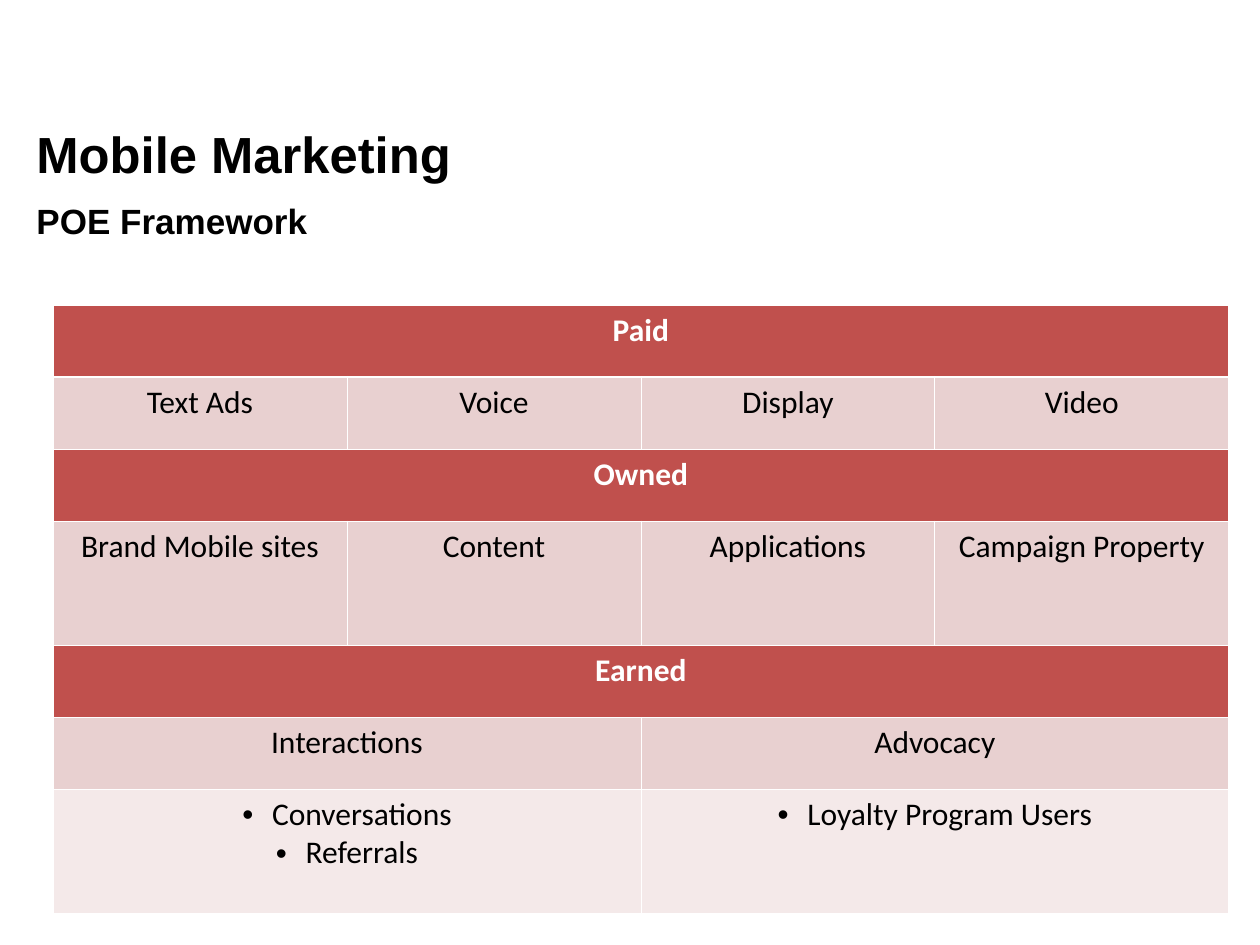
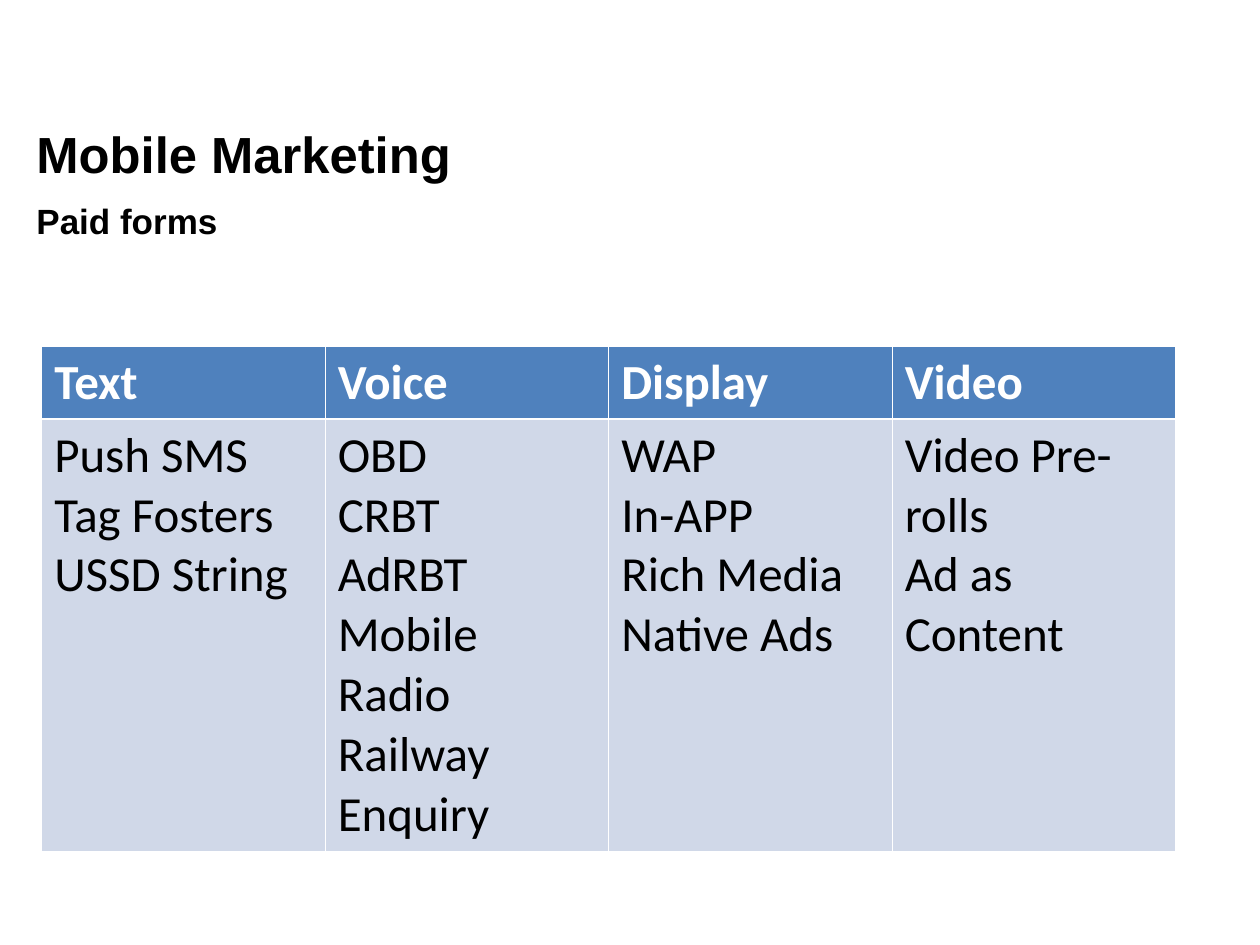
from dataclasses import dataclass
from typing import Any

from lxml.etree import SubElement
from pptx import Presentation
from pptx.dml.color import RGBColor
from pptx.enum.text import MSO_ANCHOR, MSO_AUTO_SIZE, PP_ALIGN
from pptx.oxml import parse_xml
from pptx.oxml.ns import nsdecls, qn
from pptx.util import Cm, Length, Pt

BLACK, WHITE = "000000", "FFFFFF"
RED, PINK, PALE_PINK = "C0504D", "E8D0D0", "F4E9E9"
BLUE, PALE_BLUE = "4F81BD", "D0D8E8"
COLUMNS = 4
THIN, THICK = Pt(0.45), Pt(1.47)
ROW_H, TALL_H = Cm(1.45), Cm(2.51)
BULLET_INDENT = Cm(0.6)


@dataclass
class Heading:
    left: Length
    top: Length
    width: Length
    height: Length
    size: int
    anchor: MSO_ANCHOR
    line_spacing: float


@dataclass
class Row:
    cells: list[str]
    fill: str
    height: Length = ROW_H
    head: bool = False
    bullets: bool = False


@dataclass
class Grid:
    left: Length
    top: Length
    width: Length
    size: int
    align: PP_ALIGN
    rows: list[Row]


TITLE = Heading(Cm(0.48), Cm(2.31), Cm(16.64), Cm(1.57), 29, MSO_ANCHOR.MIDDLE, 1.0)
SUBTITLE = Heading(Cm(0.48), Cm(4.01), Cm(18.03), Cm(0.99), 20, MSO_ANCHOR.BOTTOM, 0.8)

POE = Grid(Cm(1.07), Cm(6.15), Cm(23.7), 18, PP_ALIGN.CENTER, [
    Row(["Paid"], RED, head=True),
    Row(["Text Ads", "Voice", "Display", "Video"], PINK),
    Row(["Owned"], RED, head=True),
    Row(["Brand Mobile sites", "Content", "Applications", "Campaign Property"], PINK, TALL_H),
    Row(["Earned"], RED, head=True),
    Row(["Interactions", "Advocacy"], PINK),
    Row(["Conversations\nReferrals", "Loyalty Program Users"], PALE_PINK, TALL_H, bullets=True),
])

PAID_FORMS = Grid(Cm(0.84), Cm(6.99), Cm(22.86), 28, PP_ALIGN.LEFT, [
    Row(["Text", "Voice", "Display", "Video"], BLUE, head=True),
    Row([
        "Push SMS\nTag Fosters\nUSSD String",
        "OBD\nCRBT\nAdRBT\nMobile Radio\nRailway Enquiry",
        "WAP\nIn-APP\nRich Media\nNative Ads",
        "Video Pre-rolls\nAd as Content",
    ], PALE_BLUE, Cm(8.55)),
])


def rgb(value: str) -> RGBColor:
    return RGBColor.from_string(value)


def apply(target: Any, **values: Any) -> None:
    for name, value in values.items():
        setattr(target, name, value)


def set_font(font: Any, name: str, size: int, color: str, bold: bool) -> None:
    apply(font, name=name, size=Pt(size), bold=bold)
    font.color.rgb = rgb(color)


def set_bullet(p: Any, char: str = "") -> None:
    pPr = p._p.get_or_add_pPr()
    indent = BULLET_INDENT if char else 0
    pPr.set("marL", str(indent))
    pPr.set("indent", str(-indent))
    if char:
        SubElement(pPr, qn("a:buFont"), typeface="Arial")
        SubElement(pPr, qn("a:buChar"), char=char)
    else:
        SubElement(pPr, qn("a:buNone"))


def set_borders(cell: Any, top: Length, bottom: Length) -> None:
    tcPr = cell._tc.get_or_add_tcPr()
    widths = {"lnL": THIN, "lnR": THIN, "lnT": top, "lnB": bottom}
    for i, (tag, width) in enumerate(widths.items()):
        tcPr.insert(i, parse_xml(
            f'<a:{tag} {nsdecls("a")} w="{width}"><a:solidFill>'
            f'<a:srgbClr val="{WHITE}"/></a:solidFill></a:{tag}>'))


def fill_heading(sp: Any, text: str, heading: Heading) -> None:
    apply(sp, left=heading.left, top=heading.top, width=heading.width, height=heading.height)
    tf = sp.text_frame
    tf.text = text
    apply(tf, word_wrap=True, auto_size=MSO_AUTO_SIZE.NONE, vertical_anchor=heading.anchor)
    p = tf.paragraphs[0]
    apply(p, alignment=PP_ALIGN.LEFT, line_spacing=heading.line_spacing, space_before=Pt(0))
    set_bullet(p)
    set_font(p.runs[0].font, "Arial", heading.size, BLACK, True)


def fill_cell(cell: Any, text: str, row: Row, grid: Grid) -> None:
    cell.text = text
    for p in cell.text_frame.paragraphs:
        p.alignment = grid.align
        if row.bullets:
            set_bullet(p, "•")
        set_font(p.runs[0].font, "Calibri", grid.size, WHITE if row.head else BLACK, row.head)


def add_grid(slide: Any, grid: Grid) -> None:
    height = sum(row.height for row in grid.rows)
    table = slide.shapes.add_table(
        len(grid.rows), COLUMNS, grid.left, grid.top, grid.width, height).table
    for i, row in enumerate(grid.rows):
        table.rows[i].height = row.height
        for cell in table.rows[i].cells:
            cell.fill.solid()
            cell.fill.fore_color.rgb = rgb(row.fill)
            set_borders(cell, THICK if i == 1 else THIN, THICK if i == 0 else THIN)
        span = COLUMNS // len(row.cells)
        for j, text in enumerate(row.cells):
            cell = table.cell(i, j * span)
            if span > 1:
                cell.merge(table.cell(i, (j + 1) * span - 1))
            fill_cell(cell, text, row, grid)


def add_slide(prs: Any, subtitle: str, grid: Grid) -> None:
    slide = prs.slides.add_slide(prs.slide_layouts[1])
    fill_heading(slide.shapes.title, "Mobile Marketing", TITLE)
    fill_heading(slide.placeholders[1], subtitle, SUBTITLE)
    add_grid(slide, grid)


def main() -> None:
    prs = Presentation()
    apply(prs, slide_width=Cm(25.4), slide_height=Cm(19.05))
    add_slide(prs, "POE Framework", POE)
    add_slide(prs, "Paid forms", PAID_FORMS)
    prs.save("out.pptx")


if __name__ == "__main__":
    main()
